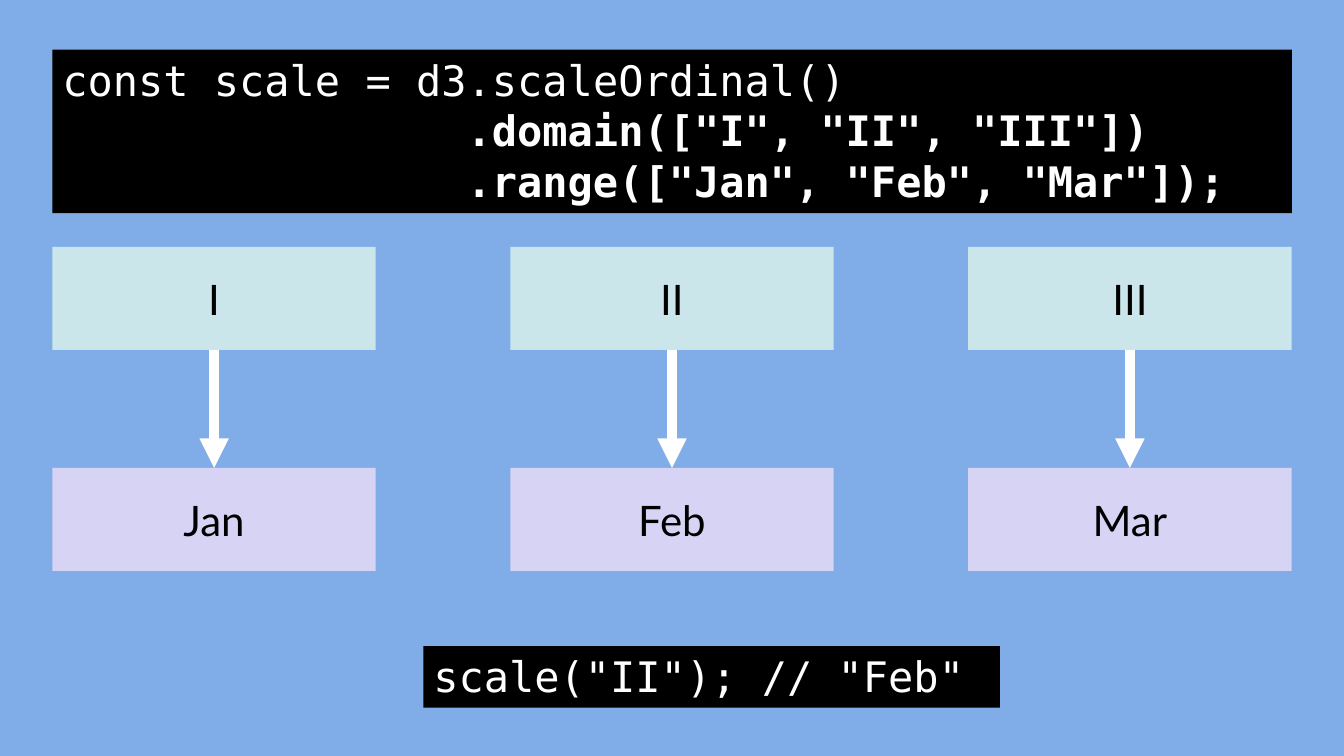
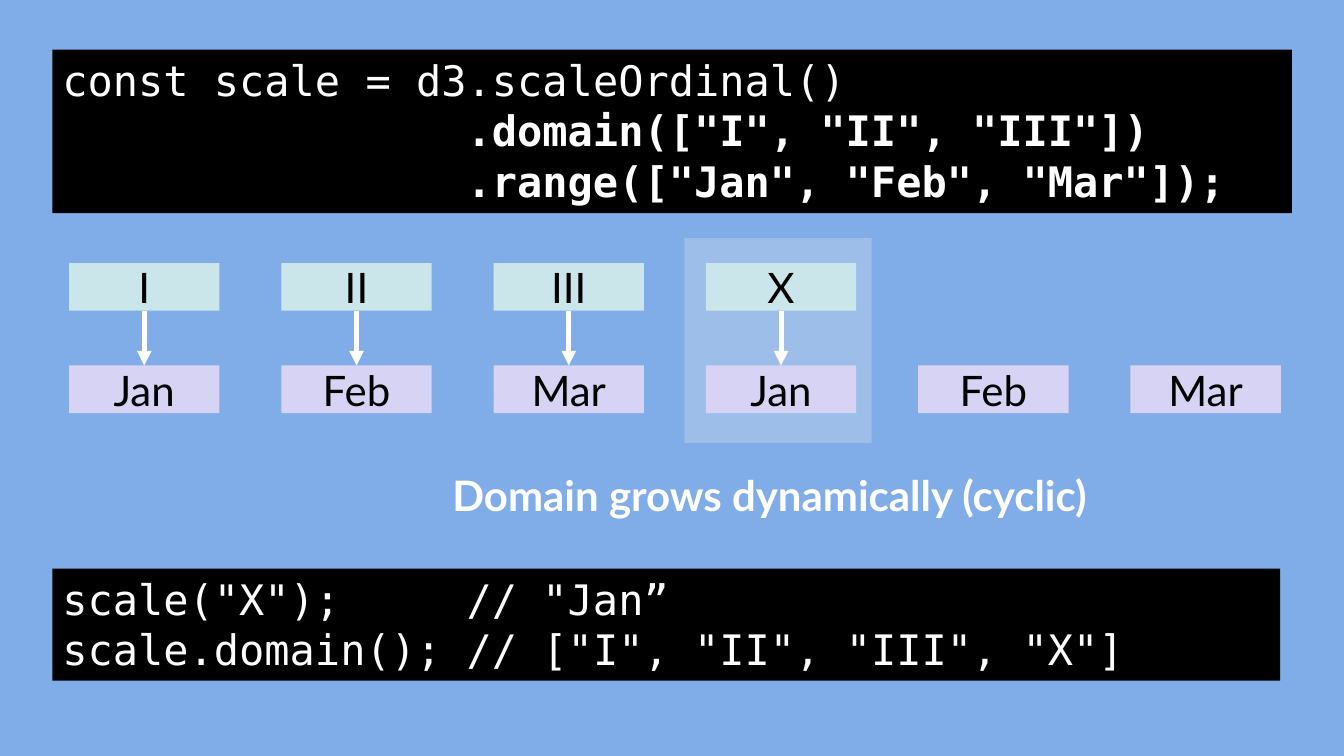
"""Build two slides that explain how an ordinal scale maps a domain to a range."""

from dataclasses import dataclass

from lxml.etree import SubElement
from pptx import Presentation
from pptx.dml.color import RGBColor
from pptx.enum.shapes import MSO_CONNECTOR, MSO_SHAPE
from pptx.enum.text import MSO_ANCHOR, PP_ALIGN
from pptx.oxml.ns import qn
from pptx.shapes.autoshape import Shape
from pptx.slide import Slide
from pptx.text.text import _Paragraph
from pptx.util import Cm, Pt

SKY = RGBColor(0x80, 0xAD, 0xE7)
MINT = RGBColor(0xCB, 0xE6, 0xEA)
LILAC = RGBColor(0xD7, 0xD3, 0xF4)
MIST = RGBColor(0xF2, 0xF2, 0xF2)
BLACK = RGBColor(0x00, 0x00, 0x00)
WHITE = RGBColor(0xFF, 0xFF, 0xFF)

LABEL_FONT = "Lato"
CODE_FONT = "DejaVu Sans Mono"
TEXT_SIZE = Pt(30)
CODE_INDENT = Cm(10.19)
MARGIN = 1.32


@dataclass(frozen=True)
class Box:
    """Position and size in centimetres."""

    left: float
    top: float
    width: float
    height: float


@dataclass(frozen=True)
class CodeLine:
    """One line of code, optionally bold and indented to the code stop."""

    text: str
    bold: bool = False
    indented: bool = False


@dataclass(frozen=True)
class Mapping:
    """Grid of domain boxes above range boxes, joined by arrows."""

    domain: tuple[str, ...]
    range: tuple[str, ...]
    first: Box
    pitch: float
    range_top: float
    arrow_width: float


SCALE_BOX = Box(MARGIN, 1.25, 31.24, 4.12)
SCALE_CODE = (
    CodeLine("const scale = d3.scaleOrdinal()"),
    CodeLine('.domain(["I", "II", "III"])', bold=True, indented=True),
    CodeLine('.range(["Jan", "Feb", "Mar"]);', bold=True, indented=True),
)
DOMAIN = ("I", "II", "III")
MONTHS = ("Jan", "Feb", "Mar")

LOOKUP = Mapping(DOMAIN, MONTHS, Box(MARGIN, 6.22, 8.15, 2.6), 11.54, 11.79, 7)
CYCLE = Mapping(
    DOMAIN + ("X",), MONTHS * 2, Box(1.74, 6.63, 3.79, 1.2), 5.35, 9.21, 3.5
)


def add_rectangle(slide: Slide, box: Box, color: RGBColor) -> Shape:
    """Add a flat rectangle without an outline."""
    rectangle = slide.shapes.add_shape(
        MSO_SHAPE.RECTANGLE, Cm(box.left), Cm(box.top), Cm(box.width), Cm(box.height)
    )
    rectangle.shadow.inherit = False
    rectangle.fill.solid()
    rectangle.fill.fore_color.rgb = color
    rectangle.line.fill.background()
    return rectangle


def add_run(
    paragraph: _Paragraph, text: str, font: str, color: RGBColor, bold: bool = False
) -> None:
    """Append a formatted run to a paragraph."""
    run = paragraph.add_run()
    run.text = text
    run.font.name = font
    run.font.size = TEXT_SIZE
    run.font.bold = bold
    run.font.color.rgb = color


def add_label(slide: Slide, box: Box, text: str, color: RGBColor) -> None:
    """Add a coloured box with a centred label."""
    frame = add_rectangle(slide, box, color).text_frame
    frame.vertical_anchor = MSO_ANCHOR.MIDDLE
    frame.paragraphs[0].alignment = PP_ALIGN.CENTER
    add_run(frame.paragraphs[0], text, LABEL_FONT, BLACK)


def add_code(slide: Slide, box: Box, lines: tuple[CodeLine, ...]) -> None:
    """Add a black code panel with a tab stop at the code indent."""
    frame = add_rectangle(slide, box, BLACK).text_frame
    frame.word_wrap = True
    frame.vertical_anchor = MSO_ANCHOR.TOP
    for index, line in enumerate(lines):
        paragraph = frame.add_paragraph() if index else frame.paragraphs[0]
        paragraph.alignment = PP_ALIGN.LEFT
        properties = paragraph._p.get_or_add_pPr()
        if line.indented:
            properties.set("marL", str(CODE_INDENT))
        else:
            stops = SubElement(properties, qn("a:tabLst"))
            SubElement(stops, qn("a:tab"), pos=str(CODE_INDENT), algn="l")
        add_run(paragraph, line.text, CODE_FONT, WHITE, line.bold)


def add_arrow(slide: Slide, x: float, top: float, bottom: float, width: float) -> None:
    """Add a white arrow pointing down."""
    arrow = slide.shapes.add_connector(
        MSO_CONNECTOR.STRAIGHT, Cm(x), Cm(top), Cm(x), Cm(bottom)
    )
    arrow.line.color.rgb = WHITE
    arrow.line.width = Pt(width)
    SubElement(arrow.line._get_or_add_ln(), qn("a:tailEnd"), type="triangle")
    SubElement(arrow._element.spPr, qn("a:effectLst"))


def add_mapping(slide: Slide, mapping: Mapping) -> None:
    """Draw the domain row, the range row and the arrows between them."""
    first = mapping.first
    for row, top, color in (
        (mapping.domain, first.top, MINT),
        (mapping.range, mapping.range_top, LILAC),
    ):
        for column, text in enumerate(row):
            left = first.left + column * mapping.pitch
            add_label(slide, Box(left, top, first.width, first.height), text, color)
    for column in range(len(mapping.domain)):
        center = first.left + column * mapping.pitch + first.width / 2
        add_arrow(
            slide,
            center,
            first.top + first.height,
            mapping.range_top,
            mapping.arrow_width,
        )


def add_highlight(slide: Slide, box: Box, opacity: int) -> None:
    """Add a translucent panel with an opacity in percent."""
    panel = add_rectangle(slide, box, MIST)
    color = panel._element.spPr.find(qn("a:solidFill")).find(qn("a:srgbClr"))
    SubElement(color, qn("a:alpha"), val=str(opacity * 1000))


def add_caption(slide: Slide, box: Box, text: str) -> None:
    """Add a bold white caption."""
    caption = slide.shapes.add_textbox(
        Cm(box.left), Cm(box.top), Cm(box.width), Cm(box.height)
    )
    caption.text_frame.word_wrap = True
    add_run(caption.text_frame.paragraphs[0], text, LABEL_FONT, WHITE, bold=True)


def add_scale_slide(deck: Presentation) -> Slide:
    """Add a blank slide with the shared background and scale definition."""
    slide = deck.slides.add_slide(deck.slide_layouts[6])
    slide.background.fill.solid()
    slide.background.fill.fore_color.rgb = SKY
    add_code(slide, SCALE_BOX, SCALE_CODE)
    return slide


def build_lookup(deck: Presentation) -> None:
    """Show a lookup of a known domain value."""
    slide = add_scale_slide(deck)
    add_mapping(slide, LOOKUP)
    add_code(
        slide, Box(10.67, 16.28, 14.53, 1.55), (CodeLine('scale("II"); // "Feb"'),)
    )


def build_cycle(deck: Presentation) -> None:
    """Show how an unknown value extends the domain."""
    slide = add_scale_slide(deck)
    add_highlight(slide, Box(17.25, 6, 4.72, 5.16), opacity=26)
    add_mapping(slide, CYCLE)
    add_caption(
        slide, Box(11.15, 11.71, 16.92, 1.55), "Domain grows dynamically (cyclic)"
    )
    add_code(
        slide,
        Box(MARGIN, 14.33, 30.94, 2.82),
        (
            CodeLine('scale("X");\t// "Jan”'),
            CodeLine('scale.domain(); // ["I", "II", "III", "X"]'),
        ),
    )


def main() -> None:
    """Build and save the deck."""
    deck = Presentation()
    deck.slide_width = Cm(33.87)
    deck.slide_height = Cm(19.05)
    build_lookup(deck)
    build_cycle(deck)
    deck.save("out.pptx")


if __name__ == "__main__":
    main()
